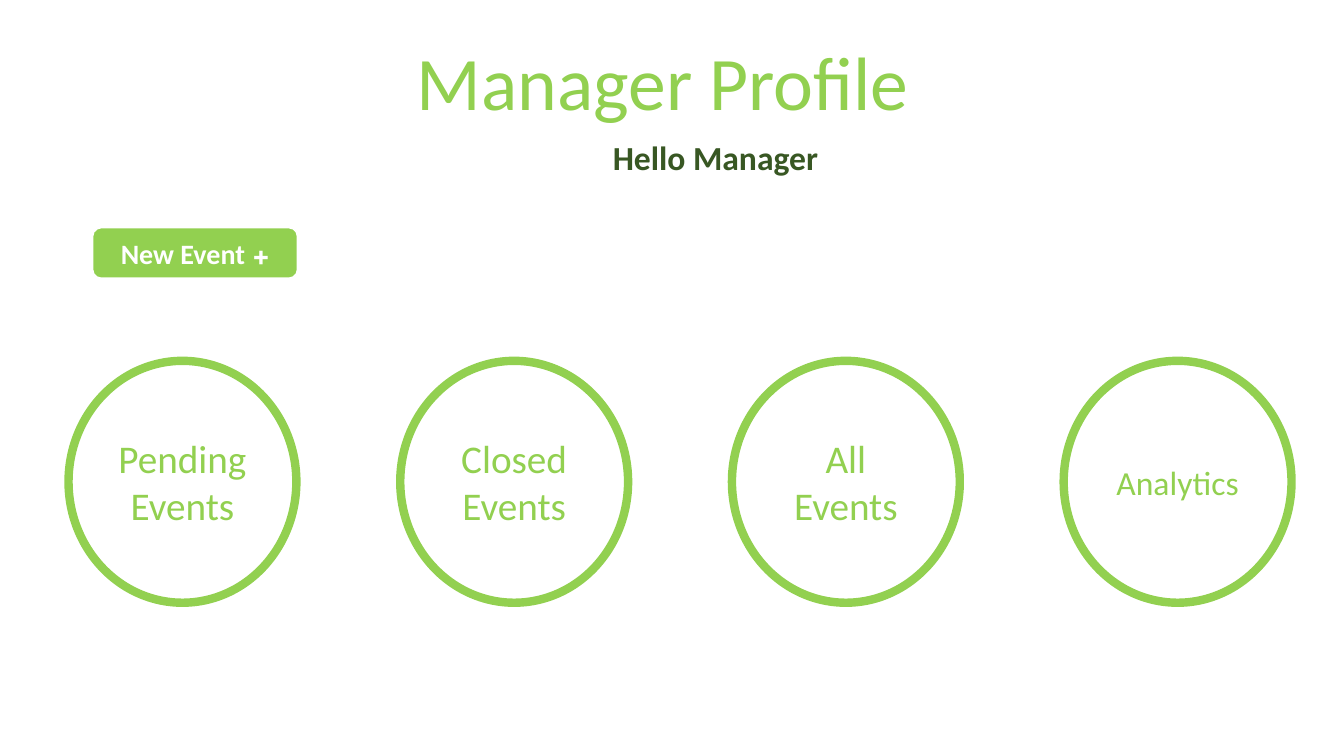
from pptx import Presentation
from pptx.util import Inches, Pt
from pptx.dml.color import RGBColor
from pptx.enum.shapes import MSO_SHAPE
from pptx.enum.text import MSO_ANCHOR, PP_ALIGN

OVAL, ROUNDED = MSO_SHAPE.OVAL, MSO_SHAPE.ROUNDED_RECTANGLE
LEFT, CENTER = PP_ALIGN.LEFT, PP_ALIGN.CENTER
TOP, MIDDLE, BOTTOM = MSO_ANCHOR.TOP, MSO_ANCHOR.MIDDLE, MSO_ANCHOR.BOTTOM

COLORS = {"green": "92D050", "dark": "385723", "white": "FFFFFF"}
TITLE = "Manager Profile"
GREETING = "Hello Manager"
BUTTON = "+ New Event"
CIRCLES = [
    (["Pending Events"], 28),
    (["Closed", "Events"], 28),
    (["All Events"], 28),
    (["Analytics"], 24),
]
CIRCLE_LEFT, CIRCLE_TOP, CIRCLE_STEP = 0.68, 3.58, 3.29
CIRCLE_W, CIRCLE_H = 2.26, 2.4


def rgb(name):
    return RGBColor.from_string(COLORS[name])


def write(sp, lines, size, color="green", bold=False, align=CENTER,
          anchor=MIDDLE, spacing=None, rtl=False):
    tf = sp.text_frame
    tf.word_wrap = True
    tf.vertical_anchor = anchor
    for i, line in enumerate(lines):
        p = tf.add_paragraph() if i else tf.paragraphs[0]
        p.alignment = align
        if spacing:
            p.line_spacing = spacing
        if rtl:
            p._p.get_or_add_pPr().set("rtl", "1")
        r = p.add_run()
        r.text = line
        r.font.name = "Calibri"
        r.font.size = Pt(size)
        r.font.bold = bold
        r.font.color.rgb = rgb(color)


def add_box(s, x, y, w, h, shape=None, fill=None, line=None, width=1):
    place = [Inches(v) for v in (x, y, w, h)]
    if shape is None:
        return s.shapes.add_textbox(*place)
    sp = s.shapes.add_shape(shape, *place)
    sp.shadow.inherit = False
    if fill:
        sp.fill.solid()
        sp.fill.fore_color.rgb = rgb(fill)
    else:
        sp.fill.background()
    sp.line.color.rgb = rgb(line)
    sp.line.width = Pt(width)
    return sp


def main():
    prs = Presentation()
    prs.slide_width, prs.slide_height = Inches(13.33), Inches(7.5)
    s = prs.slides.add_slide(prs.slide_layouts[6])

    title = add_box(s, 1.45, 0.31, 10.25, 1)
    write(title, [TITLE], 54, anchor=BOTTOM, spacing=0.9)

    greeting = add_box(s, 5.98, 1.31, 2.46, 0.5)
    write(greeting, [GREETING], 24, color="dark", bold=True, align=LEFT, anchor=TOP)

    button = add_box(s, 0.92, 2.26, 2.03, 0.5, ROUNDED, fill="green", line="white")
    write(button, [BUTTON], 20, color="white", bold=True, rtl=True)

    for i, (lines, size) in enumerate(CIRCLES):
        circle = add_box(s, CIRCLE_LEFT + i * CIRCLE_STEP, CIRCLE_TOP,
                         CIRCLE_W, CIRCLE_H, OVAL, line="green", width=6)
        write(circle, lines, size)

    prs.save("out.pptx")


if __name__ == "__main__":
    main()
